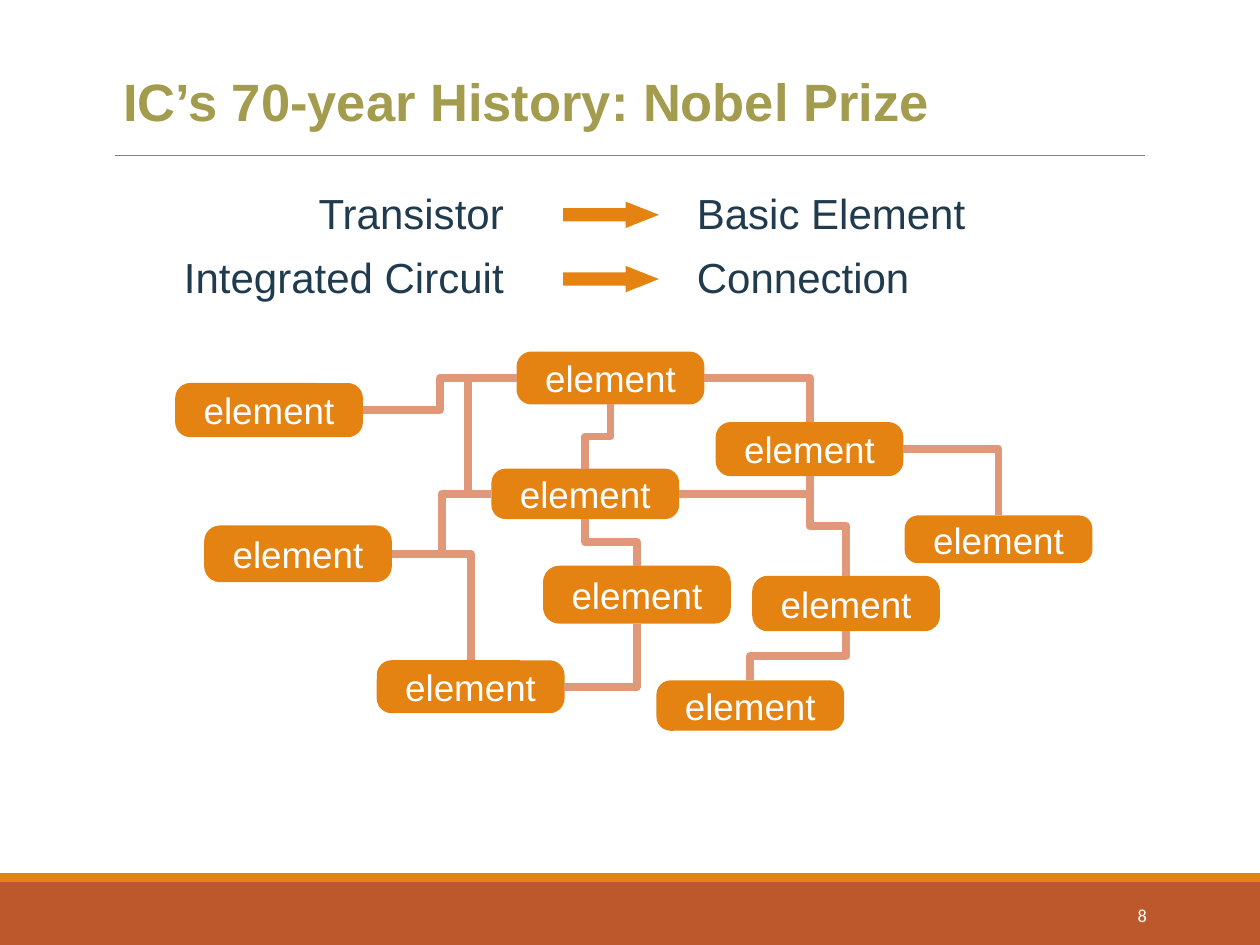
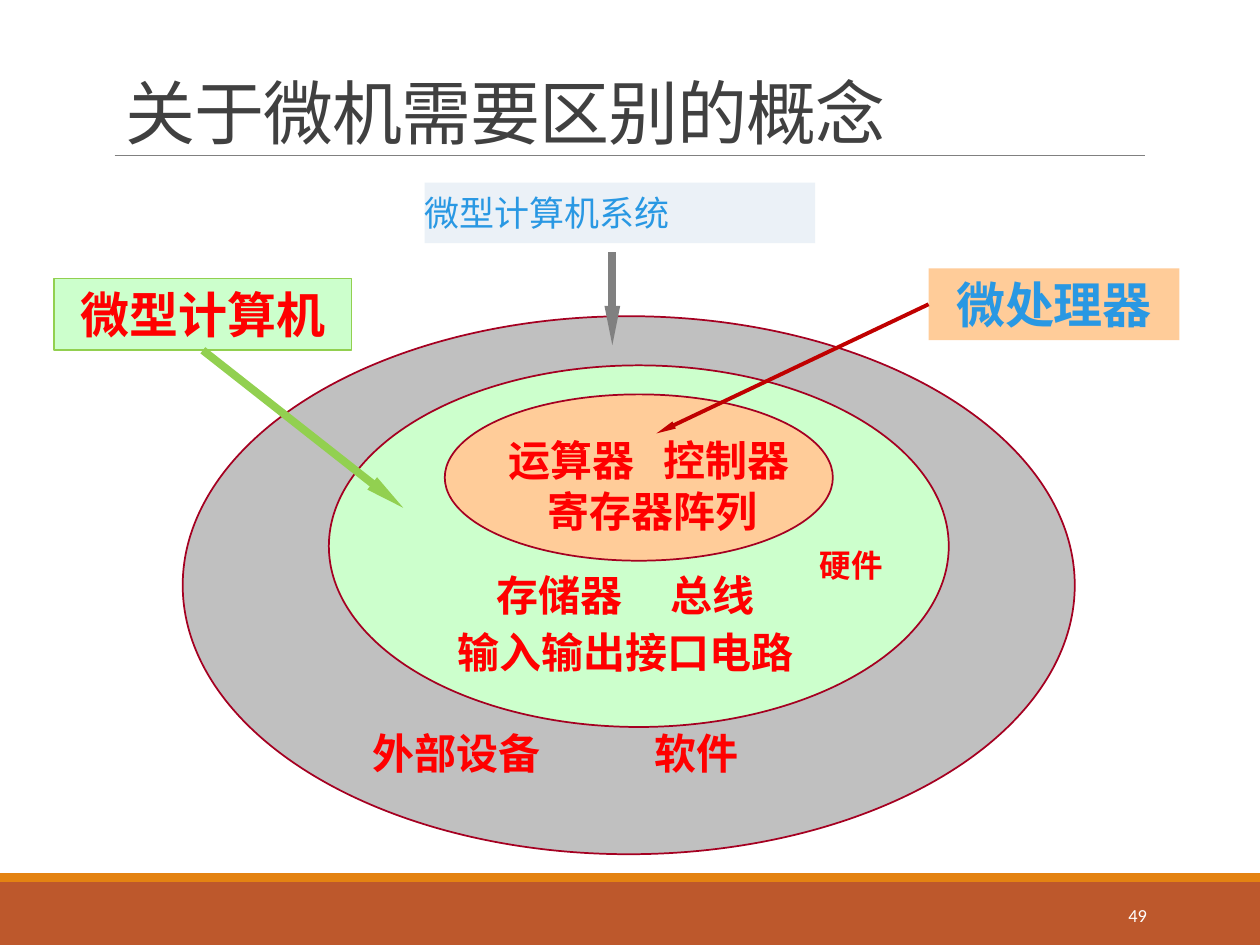
"""Build two lecture slides: linked chip elements and nested computer concepts."""
from dataclasses import dataclass
from typing import Optional

from lxml.etree import SubElement
from pptx import Presentation
from pptx.dml.color import RGBColor
from pptx.enum.shapes import MSO_CONNECTOR, MSO_SHAPE
from pptx.enum.text import MSO_ANCHOR, PP_ALIGN
from pptx.oxml.ns import qn
from pptx.util import Inches, Pt

HUES = {
    "rust": "BD582C", "orange": "E48312", "rule": "808080", "olive": "A39B4E",
    "wire": "E09878", "navy": "203A4E", "white": "FFFFFF", "dark": "404040",
    "pale": "EBF1F7", "blue": "2998E3", "gray": "C0C0C0", "mint": "CCFFCC",
    "peach": "FFCC99", "wine": "A50021", "red": "FF0000", "blood": "C00000",
    "green": "92D050",
}
LATIN, SERIF, HAN = "Arial", "Times New Roman", "Noto Sans CJK SC"
TOP, LEFT, BOTTOM, RIGHT = range(4)


@dataclass(frozen=True)
class Box:
    """Place of a shape in inches."""
    x: float
    y: float
    w: float
    h: float

    def side(self, site: int) -> tuple[float, float]:
        """Return the middle of one side."""
        across = {LEFT: 0, RIGHT: 1}.get(site, 0.5)
        down = {TOP: 0, BOTTOM: 1}.get(site, 0.5)
        return self.x + self.w * across, self.y + self.h * down


@dataclass(frozen=True)
class Wire:
    """Bent link between the sides of two elements."""
    start: str
    leave: int
    end: str
    enter: int
    bend: Optional[float] = None


@dataclass(frozen=True)
class Note:
    """Lines of words set on tab stops."""
    box: Box
    rows: tuple[str, ...]
    stops: tuple[tuple[float, ...], ...]
    pitch: float
    size: float = 24
    font: str = SERIF


@dataclass(frozen=True)
class Label:
    """Boxed name with an arrow to its ring."""
    box: Box
    text: str
    fill: str
    ink: str
    edge: Optional[str]
    site: int
    tip: tuple[float, float]
    hue: str
    width: float


NODES = {
    "a": Box(1.39, 3.04, 1.49, 0.43), "b": Box(4.1, 2.79, 1.49, 0.42),
    "c": Box(3.9, 3.72, 1.49, 0.4), "d": Box(4.31, 4.49, 1.49, 0.46),
    "e": Box(7.18, 4.09, 1.49, 0.38), "f": Box(5.68, 3.35, 1.49, 0.43),
    "g": Box(1.62, 4.17, 1.49, 0.45), "h": Box(5.97, 4.57, 1.49, 0.44),
    "i": Box(5.21, 5.4, 1.49, 0.4), "j": Box(2.99, 5.24, 1.49, 0.42),
}
WIRES = (
    Wire("a", RIGHT, "b", LEFT), Wire("g", RIGHT, "c", LEFT),
    Wire("b", LEFT, "c", LEFT, 1.92), Wire("c", BOTTOM, "d", TOP),
    Wire("c", RIGHT, "f", BOTTOM), Wire("b", BOTTOM, "c", TOP),
    Wire("b", RIGHT, "f", TOP), Wire("f", BOTTOM, "h", TOP),
    Wire("f", RIGHT, "e", TOP), Wire("g", RIGHT, "j", TOP),
    Wire("h", BOTTOM, "i", TOP), Wire("j", RIGHT, "d", BOTTOM),
)
PAIRS = (("Transistor", "Basic Element"), ("Integrated Circuit", "Connection"))
RINGS = (
    (Box(1.45, 2.51, 7.08, 4.27), "gray"),
    (Box(2.61, 2.9, 4.92, 2.87), "mint"),
    (Box(3.53, 3.13, 3.08, 1.32), "peach"),
)
NOTES = (
    Note(Box(3.72, 3.4, 2.9, 0.91), ("\t运算器\t控制器", "\t寄存器阵列"),
         ((0.22, 1.45), (0.53,)), 29),
    Note(Box(2.63, 4.42, 4.75, 0.96), ("\t存储器\t总线", "\t输入输出接口电路"),
         ((1.21, 2.59), (0.9,)), 32.5),
    Note(Box(2.86, 5.72, 4.5, 0.5), ("外部设备\t软件",), ((2.24,),), 29, font=HAN),
    Note(Box(6.41, 4.28, 0.9, 0.4), ("硬件",), ((),), 22, 18, HAN),
)
LABELS = (
    Label(Box(7.37, 2.13, 1.99, 0.57), "微处理器", "peach", "blue", None,
          LEFT, (5.21, 3.44), "blood", 2.25),
    Label(Box(0.43, 2.21, 2.36, 0.57), "微型计算机", "mint", "red", "green",
          BOTTOM, (3.2, 4.03), "green", 4.5),
)


def tint(hue: str) -> RGBColor:
    """Return a named colour."""
    return RGBColor.from_string(HUES[hue])


def draw(slide, kind, box: Box, fill=None, edge=None, bends=()):
    """Draw a flat preset shape, or a text box when kind is None."""
    place = [Inches(v) for v in (box.x, box.y, box.w, box.h)]
    if kind is None:
        return slide.shapes.add_textbox(*place)
    shape = slide.shapes.add_shape(kind, *place)
    shape.shadow.inherit = False
    for spot, bend in enumerate(bends):
        shape.adjustments[spot] = bend
    if fill:
        shape.fill.solid()
        shape.fill.fore_color.rgb = tint(fill)
    else:
        shape.fill.background()
    if edge:
        shape.line.color.rgb = tint(edge)
        shape.line.width = Pt(1)
    else:
        shape.line.fill.background()
    return shape


def write(shape, *rows: str, size: float, hue: str, font=LATIN, bold=False,
          align=PP_ALIGN.LEFT, anchor=MSO_ANCHOR.MIDDLE, inset=(0.1, 0.05),
          pitch=None, stops=(), track=None) -> None:
    """Write rows of text into a shape."""
    frame = shape.text_frame
    frame.word_wrap = True
    frame.vertical_anchor = anchor
    frame.margin_left = frame.margin_right = Inches(inset[0])
    frame.margin_top = frame.margin_bottom = Inches(inset[1])
    for spot, row in enumerate(rows):
        para = frame.add_paragraph() if spot else frame.paragraphs[0]
        if stops and stops[spot]:
            tabs = SubElement(para._p.get_or_add_pPr(), qn("a:tabLst"))
            for stop in stops[spot]:
                SubElement(tabs, qn("a:tab"), pos=str(int(Inches(stop))), algn="l")
        para.alignment = align
        if pitch:
            para.line_spacing = Pt(pitch)
        run = para.add_run()
        run.text = row
        run.font.size = Pt(size)
        run.font.bold = bold
        run.font.color.rgb = tint(hue)
        run.font.name = font
        props = run._r.get_or_add_rPr()
        SubElement(props, qn("a:ea"), typeface=HAN)
        if track:
            props.set("spc", str(int(track * 100)))


def link(slide, kind, start, end, hue: str, width: float, arrow=False):
    """Draw a flat connector between two points."""
    ends = [Inches(v) for v in (*start, *end)]
    line = slide.shapes.add_connector(kind, *ends)
    line.line.color.rgb = tint(hue)
    line.line.width = Pt(width)
    if arrow:
        SubElement(line.line._get_or_add_ln(), qn("a:tailEnd"),
                   type="triangle", w="sm", len="lg")
    SubElement(line._element.spPr, qn("a:effectLst"))
    return line


def route(slide, wire: Wire) -> None:
    """Draw a bent wire, turned when it leaves downward."""
    start = NODES[wire.start].side(wire.leave)
    end = NODES[wire.end].side(wire.enter)
    turn = 0
    if wire.leave == BOTTOM:
        mid_x, mid_y = (start[0] + end[0]) / 2, (start[1] + end[1]) / 2
        half_w, half_h = (end[1] - start[1]) / 2, abs(end[0] - start[0]) / 2
        turn, sign = (270, -1) if end[0] > start[0] else (90, 1)
        start = mid_x - sign * half_w, mid_y - half_h
        end = mid_x + sign * half_w, mid_y + half_h
    line = link(slide, MSO_CONNECTOR.ELBOW, start, end, "wire", 4.5)
    props = line._element.spPr
    shape = props.find(qn("a:prstGeom"))
    if turn:
        props.find(qn("a:xfrm")).set("rot", str(turn * 60000))
    if wire.leave == RIGHT and wire.enter in (TOP, BOTTOM):
        shape.set("prst", "bentConnector2")
    if wire.bend:
        guides = shape.find(qn("a:avLst"))
        SubElement(guides, qn("a:gd"), name="adj1",
                   fmla=f"val {round(wire.bend * 100000)}")


def start(deck, page: int):
    """Add a blank slide with bands, rule and page number."""
    slide = deck.slides.add_slide(deck.slide_layouts[6])
    draw(slide, MSO_SHAPE.RECTANGLE, Box(0, 7, 10, 0.5), "rust")
    draw(slide, MSO_SHAPE.RECTANGLE, Box(0, 6.93, 10, 0.07), "orange")
    link(slide, MSO_CONNECTOR.STRAIGHT, (0.91, 1.23), (9.09, 1.23), "rule", 0.5)
    write(draw(slide, None, Box(8.12, 7.06, 1.08, 0.4)), str(page),
          size=10.5, hue="white", font="Calibri", align=PP_ALIGN.RIGHT)
    return slide


def chip(deck) -> None:
    """Build the slide of linked elements."""
    slide = start(deck, 8)
    plate = MSO_SHAPE.ROUNDED_RECTANGLE
    write(draw(slide, plate, Box(0.85, 0.49, 8.04, 0.61)),
          "IC’s 70-year History: Nobel Prize", size=30, hue="olive", bold=True)
    for box in NODES.values():
        write(draw(slide, plate, box, "orange", bends=(0.28,)), "element",
              size=21, hue="white", align=PP_ALIGN.CENTER)
    for wire in WIRES:
        route(slide, wire)
    for row, (part, role) in enumerate(PAIRS):
        top = 1.49 + row * 0.51
        write(draw(slide, plate, Box(1.16, top, 2.97, 0.4), bends=(0.28,)),
              part, size=24, hue="navy", align=PP_ALIGN.RIGHT)
        draw(slide, MSO_SHAPE.RIGHT_ARROW, Box(4.47, top + 0.11, 0.76, 0.21),
             "orange", bends=(0.5, 1.26))
        write(draw(slide, plate, Box(5.4, top, 2.53, 0.4), bends=(0.28,)),
              role, size=24, hue="navy")


def rings(deck) -> None:
    """Build the slide of nested concepts."""
    slide = start(deck, 49)
    write(draw(slide, None, Box(0.9, 0.36, 8.25, 0.91)), "关于微机需要区别的概念",
          size=40, hue="dark", anchor=MSO_ANCHOR.BOTTOM, track=-0.5)
    write(draw(slide, MSO_SHAPE.RECTANGLE, Box(3.37, 1.45, 3.1, 0.48), "pale"),
          "微型计算机系统", size=20, hue="blue", font=SERIF, inset=(0, 0))
    for box, fill in RINGS:
        draw(slide, MSO_SHAPE.OVAL, box, fill, "wine")
    for note in NOTES:
        write(draw(slide, None, note.box), *note.rows, size=note.size, hue="red",
              font=note.font, bold=True, anchor=MSO_ANCHOR.TOP,
              pitch=note.pitch, stops=note.stops)
    for label in LABELS:
        shape = draw(slide, MSO_SHAPE.RECTANGLE, label.box, label.fill, label.edge)
        write(shape, label.text, size=28, hue=label.ink, font=SERIF, bold=True,
              align=PP_ALIGN.CENTER, inset=(0.1, 0))
        line = link(slide, MSO_CONNECTOR.STRAIGHT, label.box.side(label.site),
                    label.tip, label.hue, label.width, arrow=True)
        line.begin_connect(shape, label.site)
    link(slide, MSO_CONNECTOR.STRAIGHT, (4.86, 2), (4.86, 2.74), "rule", 4.5,
         arrow=True)


def main() -> None:
    """Build and save the deck."""
    deck = Presentation()
    deck.slide_width, deck.slide_height = Inches(10), Inches(7.5)
    chip(deck)
    rings(deck)
    deck.save("out.pptx")


if __name__ == "__main__":
    main()
